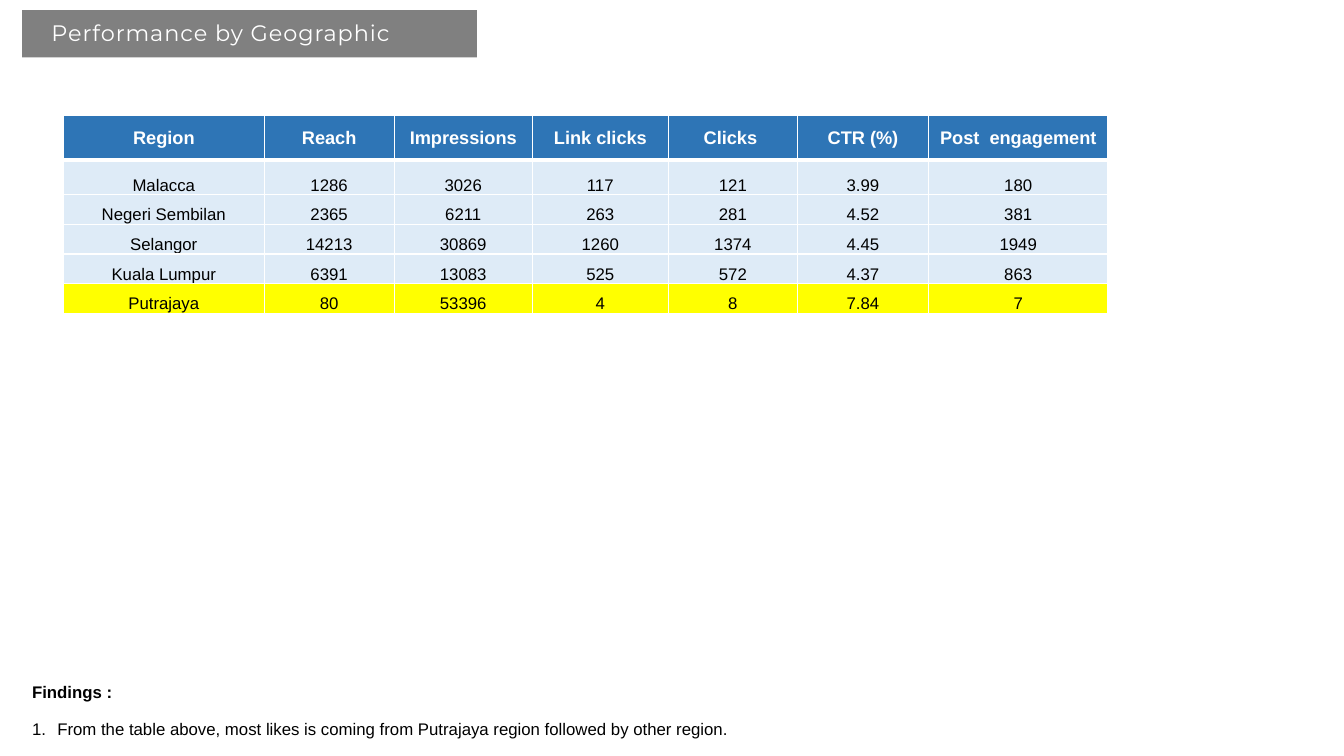
import pptx
import pptx.util
import pptx.dml.color
import pptx.enum.shapes
import pptx.enum.text
import pptx.oxml
import pptx.oxml.ns

Inches, Pt = pptx.util.Inches, pptx.util.Pt
RGBColor = pptx.dml.color.RGBColor
ANCHOR = pptx.enum.text.MSO_ANCHOR
CENTER = pptx.enum.text.PP_ALIGN.CENTER

WHITE = RGBColor(0xFF, 0xFF, 0xFF)
BLACK = RGBColor(0x00, 0x00, 0x00)
GRAY = RGBColor(0x80, 0x80, 0x80)
BLUE = RGBColor(0x2E, 0x75, 0xB6)
PALE = RGBColor(0xDE, 0xEB, 0xF7)
YELLOW = RGBColor(0xFF, 0xFF, 0x00)

TITLE = "Performance by Geographic"
HEAD = ("Region", "Reach", "Impressions", "Link clicks", "Clicks ", "CTR (%)", "Post  engagement")
REGIONS = [
    ("Malacca", "1286", "3026", "117", "121", "3.99", "180"),
    ("Negeri Sembilan", "2365", "6211", "263", "281", "4.52", "381"),
    ("Selangor", "14213", "30869", "1260", "1374", "4.45", "1949"),
    ("Kuala Lumpur", "6391", "13083", "525", "572", "4.37", "863"),
    ("Putrajaya", "80", "53396", "4", "8", "7.84", "7"),
]
BEST = "Putrajaya"
NOTES = "Findings :"
FINDING = "From the table above, most likes is coming from Putrajaya region followed by other region."
COLS = (1.99, 1.29, 1.37, 1.35, 1.28, 1.3, 1.78)
ROWS = (0.45, 0.34) + (0.295,) * 4
EDGES = {"L": 1, "R": 1, "T": 1, "B": 3}


def write(para, text, size, color, bold=False, font="Arial"):
    run = para.add_run()
    run.text = text
    run.font.size = Pt(size)
    run.font.name = font
    run.font.bold = bold
    run.font.color.rgb = color
    return run


def add_box(slide, left, top, width, height):
    box = slide.shapes.add_textbox(Inches(left), Inches(top), Inches(width), Inches(height))
    box.text_frame.word_wrap = True
    return box.text_frame


def add_edges(cell):
    props = cell._tc.get_or_add_tcPr()
    for side, width in EDGES.items():
        props.append(pptx.oxml.parse_xml(
            f'<a:ln{side} {pptx.oxml.ns.nsdecls("a")} w="{Pt(width)}">'
            f'<a:solidFill><a:srgbClr val="{WHITE}"/></a:solidFill></a:ln{side}>'))


def add_title(slide):
    bar = slide.shapes.add_shape(pptx.enum.shapes.MSO_SHAPE.RECTANGLE,
                                 Inches(0.22), Inches(0.1), Inches(4.51), Inches(0.47))
    bar.shadow.inherit = False
    bar.fill.solid()
    bar.fill.fore_color.rgb = GRAY
    bar.line.fill.background()
    frame = add_box(slide, 0.5, 0.1, 4.52, 0.36)
    frame.margin_left = frame.margin_right = frame.margin_bottom = 0
    frame.margin_top = Inches(0.09)
    para = frame.paragraphs[0]
    para.space_before = Pt(0.7)
    para._p.get_or_add_pPr().set("marL", str(Inches(0.01)))
    run = write(para, TITLE, 16, WHITE, font="Montserrat")
    run._r.get_or_add_rPr().set("spc", "70")


def add_grid(slide):
    data = [HEAD] + REGIONS
    table = slide.shapes.add_table(len(data), len(HEAD), Inches(0.63), Inches(1.14),
                                   Inches(sum(COLS)), Inches(sum(ROWS))).table
    for col, width in zip(table.columns, COLS):
        col.width = Inches(width)
    for row, height, texts in zip(table.rows, ROWS, data):
        row.height = Inches(height)
        top = texts is HEAD
        fill = BLUE if top else YELLOW if texts[0] == BEST else PALE
        for cell, text in zip(row.cells, texts):
            cell.margin_left = cell.margin_right = cell.margin_top = Inches(0.01)
            cell.margin_bottom = 0
            cell.vertical_anchor = ANCHOR.MIDDLE if top else ANCHOR.BOTTOM
            if top:
                add_edges(cell)
            cell.fill.solid()
            cell.fill.fore_color.rgb = fill
            para = cell.text_frame.paragraphs[0]
            para.alignment = CENTER
            write(para, text, 13 if top else 12, WHITE if top else BLACK, top)


def add_notes(slide):
    frame = add_box(slide, 0.22, 6.71, 11.66, 0.68)
    write(frame.paragraphs[0], NOTES, 12, BLACK, True)
    para = frame.add_paragraph()
    para.space_before = Pt(12)
    props = para._p.get_or_add_pPr()
    props.set("marL", str(Inches(0.25)))
    props.set("indent", str(-Inches(0.25)))
    props.append(pptx.oxml.parse_xml(
        f'<a:buAutoNum {pptx.oxml.ns.nsdecls("a")} type="arabicPeriod"/>'))
    write(para, FINDING, 12, BLACK)


def main():
    deck = pptx.Presentation()
    deck.slide_width, deck.slide_height = Inches(13.33), Inches(7.5)
    slide = deck.slides.add_slide(deck.slide_layouts[6])
    add_title(slide)
    add_grid(slide)
    add_notes(slide)
    deck.save("out.pptx")


if __name__ == "__main__":
    main()
